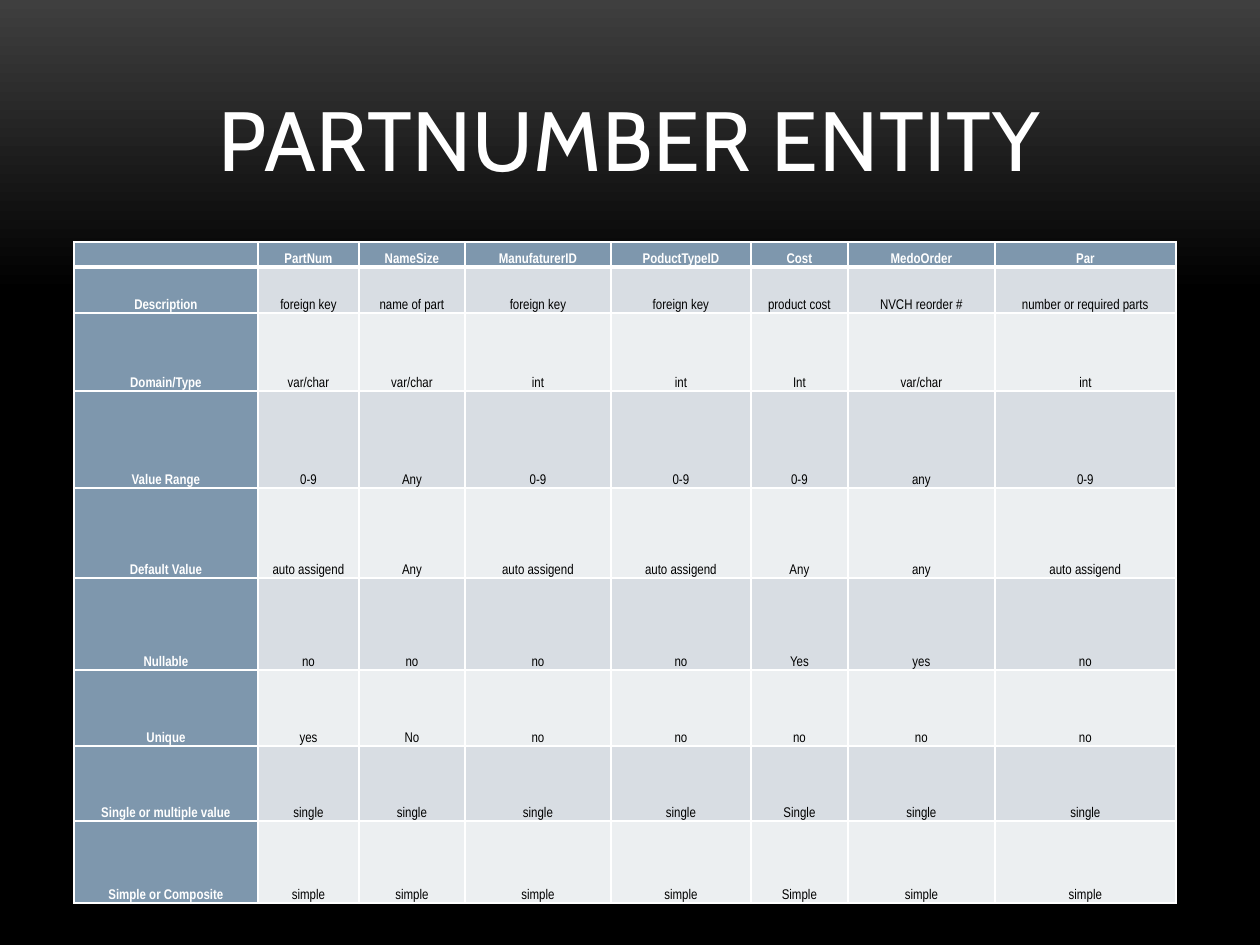
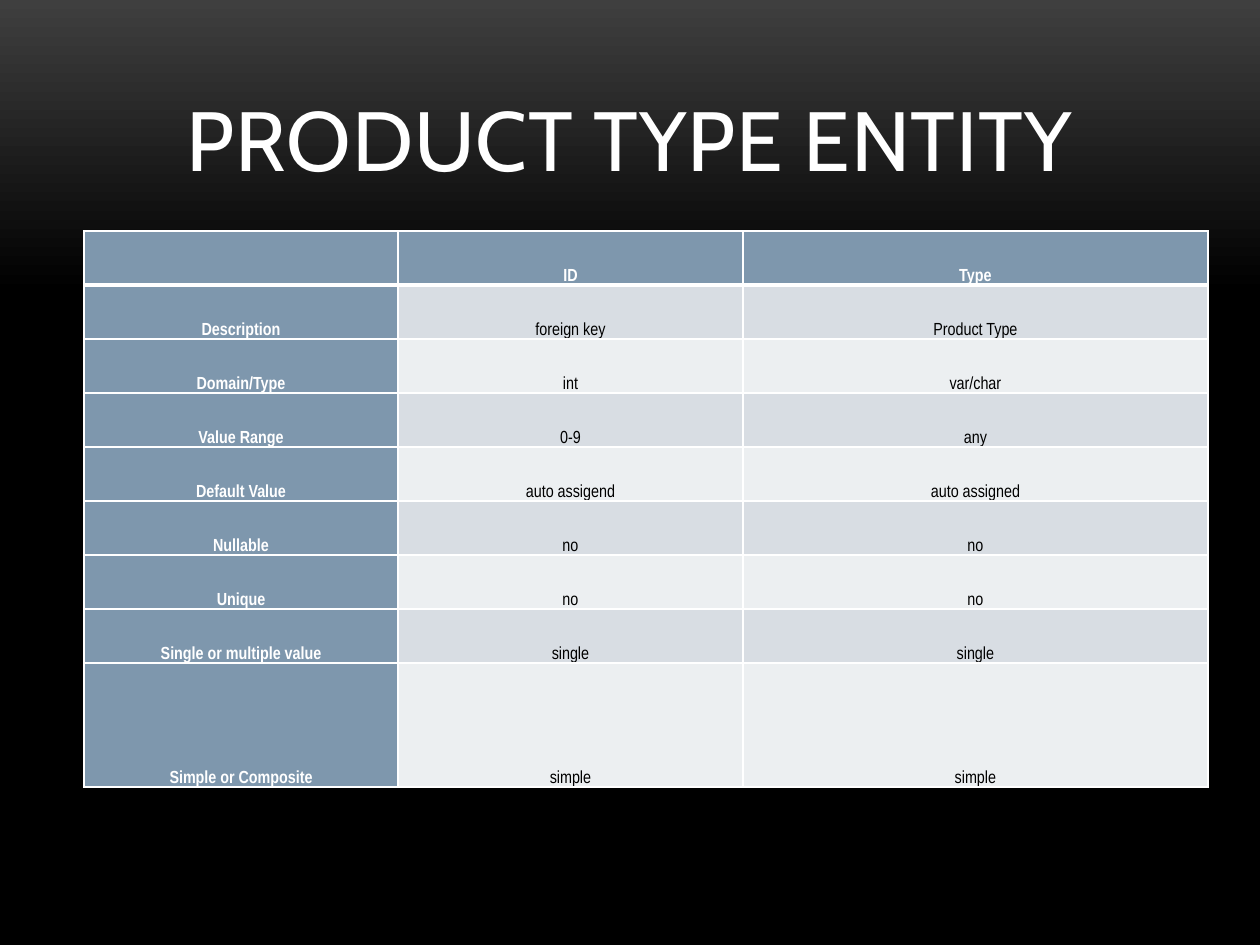
from copy import deepcopy
from lxml.etree import SubElement as Sub
from pptx import Presentation
from pptx.dml.color import RGBColor as Rgb
from pptx.enum.text import MSO_ANCHOR as Anchor, PP_ALIGN as Align
from pptx.oxml.ns import qn
from pptx.util import Pt

WHITE = Rgb(0xFF, 0xFF, 0xFF)
BLACK = Rgb(0, 0, 0)
GREY = Rgb(0x3F, 0x3F, 0x3F)
STEEL = Rgb(0x7E, 0x97, 0xAD)
BANDS = [Rgb(0xEC, 0xEF, 0xF1), Rgb(0xD8, 0xDD, 0xE3)]
SCALE = 914400 / 126


def px(num):
    return round(num * SCALE)


def border(cell, side, width):
    line = Sub(cell._tc.get_or_add_tcPr(), qn("a:ln" + side), w=str(Pt(width)))
    fill = Sub(line, qn("a:solidFill"))
    Sub(fill, qn("a:srgbClr"), val=str(WHITE))


LABELS = ["", "Description", "Domain/Type", "Value Range", "Default Value",
          "Nullable", "Unique", "Single or multiple value", "Simple or Composite"]

PART = [
    ["PartNum", "foreign key", "var/char", "0-9", "auto assigend", "no", "yes", "single", "simple"],
    ["NameSize", "name of part", "var/char", "Any", "Any", "no", "No", "single", "simple"],
    ["ManufaturerID", "foreign key", "int", "0-9", "auto assigend", "no", "no", "single", "simple"],
    ["PoductTypeID", "foreign key", "int", "0-9", "auto assigend", "no", "no", "single", "simple"],
    ["Cost", "product cost", "Int", "0-9", "Any", "Yes", "no", "Single", "Simple"],
    ["MedoOrder", "NVCH reorder #", "var/char", "any", "any", "yes", "no", "single", "simple"],
    ["Par", "number or required parts", "int", "0-9", "auto assigend", "no", "no", "single", "simple"],
]
TYPE = [
    ["ID", "foreign key", "int", "0-9", "auto assigend", "no", "no", "single", "simple"],
    ["Type", "Product Type", "var/char", "any", "auto assigned", "no", "no", "single", "simple"],
]

PAGES = [
    ("PARTNUMBER ENTITY", PART, 74, 242, 8, 8,
     [184, 101, 106, 146, 140, 97, 147, 181],
     [25, 46, 78, 97, 90, 92, 76, 75, 82]),
    ("PRODUCT TYPE ENTITY", TYPE, 84, 231, 10, 9,
     [314, 345, 465],
     [54] * 8 + [124]),
]

deck = Presentation()
deck.slide_width, deck.slide_height = px(1260), px(945)

back = deck.slide_master.background.fill
back.gradient()
back.gradient_angle = 270
stops = deck.slide_master.element.find(".//" + qn("a:gsLst"))
stops.append(deepcopy(stops[1]))
for stop, color, place in zip(back.gradient_stops, [GREY, BLACK, BLACK], [0, 0.31, 1]):
    stop.color.rgb = color
    stop.position = place

for name, fields, left, top, size, inset, widths, heights in PAGES:
    slide = deck.slides.add_slide(deck.slide_layouts[5])
    title = slide.shapes.title
    title.left, title.top, title.width, title.height = px(84), px(38), px(1092), px(157)
    frame = title.text_frame
    frame.text = name
    frame.vertical_anchor = Anchor.BOTTOM
    para = frame.paragraphs[0]
    para.alignment = Align.CENTER
    run = para.runs[0]
    run.font.name, run.font.size = "Cabin", Pt(48)
    run.font.color.rgb = WHITE
    run.font._element.set("spc", "50")

    rows = list(zip(LABELS, *fields))
    table = slide.shapes.add_table(len(rows), len(widths), px(left), px(top),
                                   px(sum(widths)), px(sum(heights))).table
    for col, width in zip(table.columns, widths):
        col.width = px(width)
    for row, height in zip(table.rows, heights):
        row.height = px(height)

    for i, row in enumerate(rows):
        for j, text in enumerate(row):
            cell = table.cell(i, j)
            head = i == 0 or j == 0
            for side in "LRTB":
                thick = (i, side) in [(0, "B"), (1, "T")]
                border(cell, side, 3 if thick else 1)
            cell.fill.solid()
            cell.fill.fore_color.rgb = STEEL if head else BANDS[i % 2]
            cell.vertical_anchor = Anchor.BOTTOM
            cell.margin_left = cell.margin_right = px(inset)
            cell.margin_top = cell.margin_bottom = 0
            para = cell.text_frame.paragraphs[0]
            para.text = text
            para.alignment = Align.CENTER
            para.line_spacing = 1.15
            if not text:
                Sub(para._p, qn("a:endParaRPr"), sz=str(size * 100))
            for run in para.runs:
                run.font.name, run.font.size = "Arial Narrow", Pt(size)
                run.font.bold = head
                run.font.color.rgb = WHITE if head else BLACK

deck.save("out.pptx")
